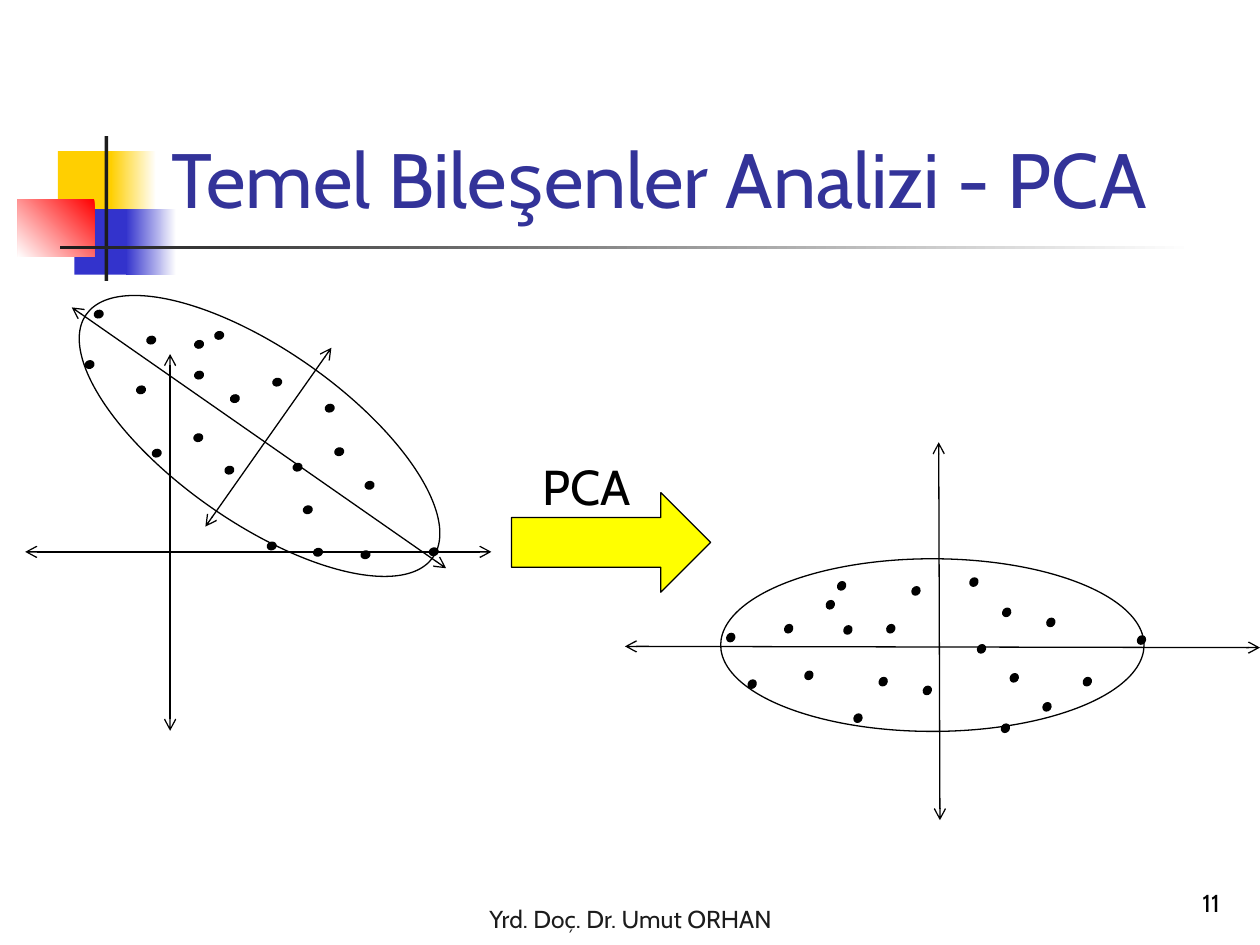
from math import cos, radians, sin

from lxml.etree import SubElement
from pptx import Presentation
from pptx.dml.color import RGBColor
from pptx.enum.shapes import MSO_CONNECTOR, MSO_SHAPE
from pptx.enum.text import MSO_ANCHOR, MSO_AUTO_SIZE, PP_ALIGN
from pptx.oxml.ns import qn
from pptx.util import Emu, Pt

PX = 9144  # EMU per px, 100 px to the inch
FONT = "Cabin"
BLACK, DARK, WHITE = "000000", "1C1C1C", "FFFFFF"
YELLOW, BLUE, RED = "FFCF01", "3333CC", "FF0000"

ELLIPSE_SIZE = (336, 137)
DOT_SIZE = (6, 7)
DOT_TURN = 37.2
DATA_TURN = 35  # slope of the data before PCA, in degrees
BEFORE_CENTER = (206, 346)
AFTER_CENTER = (740, 512)

# Centres of the data points, measured from the centre of their ellipse
POINTS = [
    (-72, -47), (-33, -13), (-98, 24), (-160, -6), (-4, 36), (58, 66),
    (-143, 31), (123, 29), (94, -18), (33, -50), (166, -4), (-114, -13),
    (39, 3), (65, 26), (-59, 58), (-13, -43), (59, -26), (-81, -32),
    (-39, 29), (-67, -12), (91, 49),
]


def px(length):
    return Emu(round(length * PX))


def color(hex_text):
    return RGBColor.from_string(hex_text)


def add_shape(page, kind, left, top, width, height, fill=None, line=None, turn=0):
    shape = page.shapes.add_shape(kind, px(left), px(top), px(width), px(height))
    shape.shadow.inherit = False
    shape.rotation = turn
    if fill:
        shape.fill.solid()
        shape.fill.fore_color.rgb = color(fill)
    else:
        shape.fill.background()
    if line:
        shape.line.color.rgb = color(line)
        shape.line.width = Pt(0.75)
    else:
        shape.line.fill.background()
    return shape


def add_fade(page, left, top, width, height, start, end, angle):
    """Rectangle with a gradient; the angle runs clockwise."""
    shape = add_shape(page, MSO_SHAPE.RECTANGLE, left, top, width, height)
    shape.fill.gradient()
    shape.fill.gradient_angle = 360 - angle
    for stop, hex_text in zip(shape.fill.gradient_stops, (start, end)):
        stop.color.rgb = color(hex_text)


def add_double_arrow(page, start, end):
    arrow = page.shapes.add_connector(
        MSO_CONNECTOR.STRAIGHT, *(px(length) for length in (*start, *end)))
    arrow.line.color.rgb = color(BLACK)
    arrow.line.width = Pt(0.75)
    for tag in ("a:headEnd", "a:tailEnd"):
        SubElement(arrow.line._get_or_add_ln(), qn(tag), type="arrow")
    SubElement(arrow._element.spPr, qn("a:effectLst"))


def write_text(box, text, size, hex_text, align=PP_ALIGN.LEFT):
    frame = box.text_frame
    frame.word_wrap = True
    frame.auto_size = MSO_AUTO_SIZE.NONE
    frame.vertical_anchor = MSO_ANCHOR.BOTTOM
    para = frame.paragraphs[0]
    para.text = text
    para.alignment = align
    para.font.name = FONT
    para.font.size = Pt(size)
    para.font.color.rgb = color(hex_text)


def add_text(page, left, top, width, height, *text_format):
    box = page.shapes.add_textbox(px(left), px(top), px(width), px(height))
    write_text(box, *text_format)


def add_title(page, text):
    title = page.shapes.title
    title.left, title.top, title.width, title.height = map(px, (126, 23, 852, 160))
    write_text(title, text, 44, "333399")


def add_decoration(page):
    add_shape(page, MSO_SHAPE.RECTANGLE, 46, 120, 48, 52, YELLOW)
    add_fade(page, 88, 120, 36, 52, WHITE, YELLOW, 180)
    add_shape(page, MSO_SHAPE.RECTANGLE, 59, 166, 46, 52, BLUE)
    add_fade(page, 100, 166, 40, 52, WHITE, BLUE, 180)
    add_fade(page, 14, 158, 61, 46, RED, WHITE, 135)
    add_shape(page, MSO_SHAPE.RECTANGLE, 83, 108, 3, 115, DARK)
    add_fade(page, 48, 195, 900, 3, WHITE, DARK, 180)


def add_centered_ellipse(page, center, size, fill, turn):
    left, top = (middle - length / 2 for middle, length in zip(center, size))
    add_shape(page, MSO_SHAPE.OVAL, left, top, *size, fill, BLACK, turn)


def add_data(page, center, turn):
    """Points and their outline, turned clockwise about the centre."""
    cosine, sine = cos(radians(turn)), sin(radians(turn))
    for x, y in POINTS:
        dot_center = (center[0] + x * cosine - y * sine,
                      center[1] + x * sine + y * cosine)
        add_centered_ellipse(page, dot_center, DOT_SIZE, BLACK, DOT_TURN + turn)
    add_centered_ellipse(page, center, ELLIPSE_SIZE, None, turn)


def main():
    deck = Presentation()
    deck.slide_width, deck.slide_height = px(1000), px(750)
    page = deck.slides.add_slide(deck.slide_layouts[5])

    # Frame of the page
    add_decoration(page)
    add_title(page, "Temel Bileşenler Analizi - PCA")
    add_text(page, 20, 712, 961, 34, "Yrd. Doç. Dr. Umut ORHAN", 14, DARK,
             PP_ALIGN.CENTER)

    # Data after PCA, along the axes
    add_double_arrow(page, (745, 351), (746, 651))
    add_double_arrow(page, (496, 513), (1000, 514))
    add_data(page, AFTER_CENTER, 0)

    # Data before PCA, with its principal directions
    add_double_arrow(page, (135, 281), (135, 580))
    add_double_arrow(page, (20, 438), (390, 438))
    add_double_arrow(page, (263, 276), (163, 418))
    add_double_arrow(page, (57, 244), (354, 451))
    add_data(page, BEFORE_CENTER, DATA_TURN)

    # Step from one to the other
    add_shape(page, MSO_SHAPE.RIGHT_ARROW, 406, 391, 158, 79, "FFFF00", BLACK)
    add_text(page, 421, 359, 110, 55, "PCA", 28, BLACK)

    # Page number
    add_text(page, 770, 683, 208, 50, "11", 14, BLACK, PP_ALIGN.RIGHT)
    deck.save("out.pptx")


if __name__ == "__main__":
    main()
